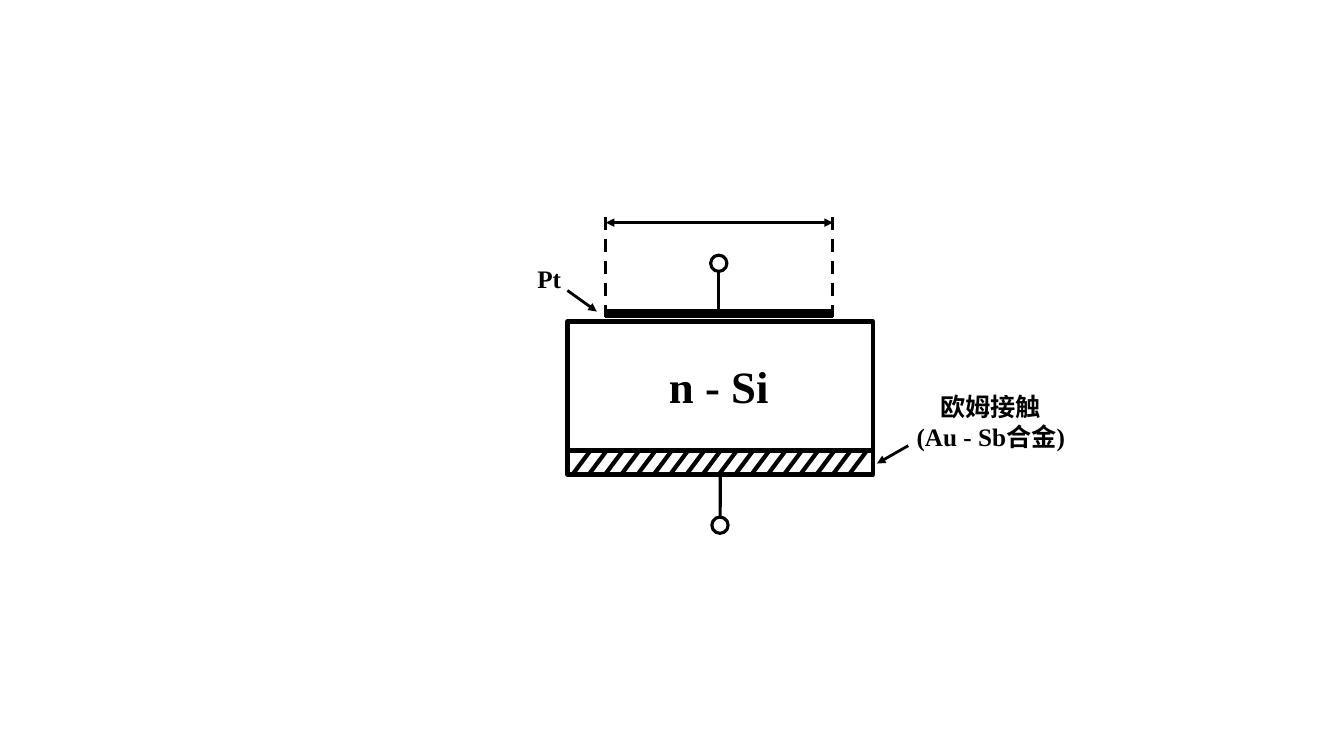
from lxml import etree
from pptx import Presentation
from pptx.dml.color import RGBColor
from pptx.enum.dml import MSO_LINE
from pptx.enum.shapes import MSO_CONNECTOR, MSO_SHAPE
from pptx.enum.text import MSO_ANCHOR, MSO_AUTO_SIZE, PP_ALIGN
from pptx.oxml.ns import qn
from pptx.util import Cm, Pt

RECT = MSO_SHAPE.RECTANGLE
OVAL = MSO_SHAPE.OVAL
LINE = MSO_CONNECTOR.STRAIGHT
DASH = MSO_LINE.DASH
TOP = MSO_ANCHOR.TOP
GROW = MSO_AUTO_SIZE.SHAPE_TO_FIT_TEXT
MID = PP_ALIGN.CENTER


def color(code):
    return RGBColor.from_string(code)


class Board:
    font = "Times New Roman"
    ink = "000000"

    def __init__(self, slide):
        self.slide = slide

    def shape(self, kind, x, y, w, h, width):
        item = self.slide.shapes.add_shape(kind, Cm(x), Cm(y), Cm(w), Cm(h))
        item.shadow.inherit = False
        item.fill.background()
        item.line.color.rgb = color(self.ink)
        item.line.width = Pt(width)
        return item

    def line(self, x1, y1, x2, y2, width, dash=None, arrow=False):
        item = self.slide.shapes.add_connector(LINE, Cm(x1), Cm(y1), Cm(x2), Cm(y2))
        item.line.color.rgb = color(self.ink)
        item.line.width = Pt(width)
        if dash:
            item.line.dash_style = dash
        props = item._element.spPr
        if arrow:
            etree.SubElement(props.find(qn("a:ln")), qn("a:tailEnd"), type="triangle")
        etree.SubElement(props, qn("a:effectLst"))
        return item

    def text(self, words, x, y, w, h, size, wrap=False):
        box = self.slide.shapes.add_textbox(Cm(x), Cm(y), Cm(w), Cm(h))
        frame = box.text_frame
        frame.text = words
        frame.word_wrap = wrap
        frame.auto_size = GROW
        frame.vertical_anchor = TOP
        for para in frame.paragraphs:
            para.alignment = MID
            for run in para.runs:
                run.font.name = self.font
                run.font.size = Pt(size)
                run.font.bold = True
                run.font.color.rgb = color(self.ink)


def main():
    deck = Presentation()
    deck.slide_width = Cm(33.87)
    deck.slide_height = Cm(19.05)
    board = Board(deck.slides.add_slide(deck.slide_layouts[6]))

    body = board.shape(RECT, 14.3, 8.1, 7.7, 3.86, 3)
    board.line(14.3, 11.35, 22, 11.35, 3)
    for step in range(18):
        x = 14.86 + 0.41 * step
        board.line(x, 11.38, x - 0.42, 11.94, 3)

    board.line(15.24, 7.9, 20.98, 7.9, 6)
    board.line(22.89, 11.23, 22.1, 11.68, 2, arrow=True)
    board.text("欧姆接触\n(Au - Sb合金)", 22.81, 9.73, 4.32, 1.8, 18, wrap=True)

    lead = board.line(18.15, 11.96, 18.15, 13.03, 2.25)
    lead.begin_connect(body, 2)
    board.shape(OVAL, 17.94, 13.03, 0.41, 0.41, 2.25)
    board.line(18.11, 6.84, 18.11, 7.85, 2.25)
    board.shape(OVAL, 17.91, 6.43, 0.41, 0.41, 2.25)

    board.line(14.3, 7.32, 15.04, 7.85, 2, arrow=True)
    board.text("Pt", 13.28, 6.5, 1.12, 1.02, 18)
    board.text("n - Si", 16.59, 8.92, 3.05, 1.63, 32)

    for edge in (15.27, 20.99):
        board.line(edge, 8, edge, 5.46, 2.25, dash=DASH)
        board.line(16.8, 5.61, edge, 5.61, 2, arrow=True)

    deck.save("out.pptx")


if __name__ == "__main__":
    main()
